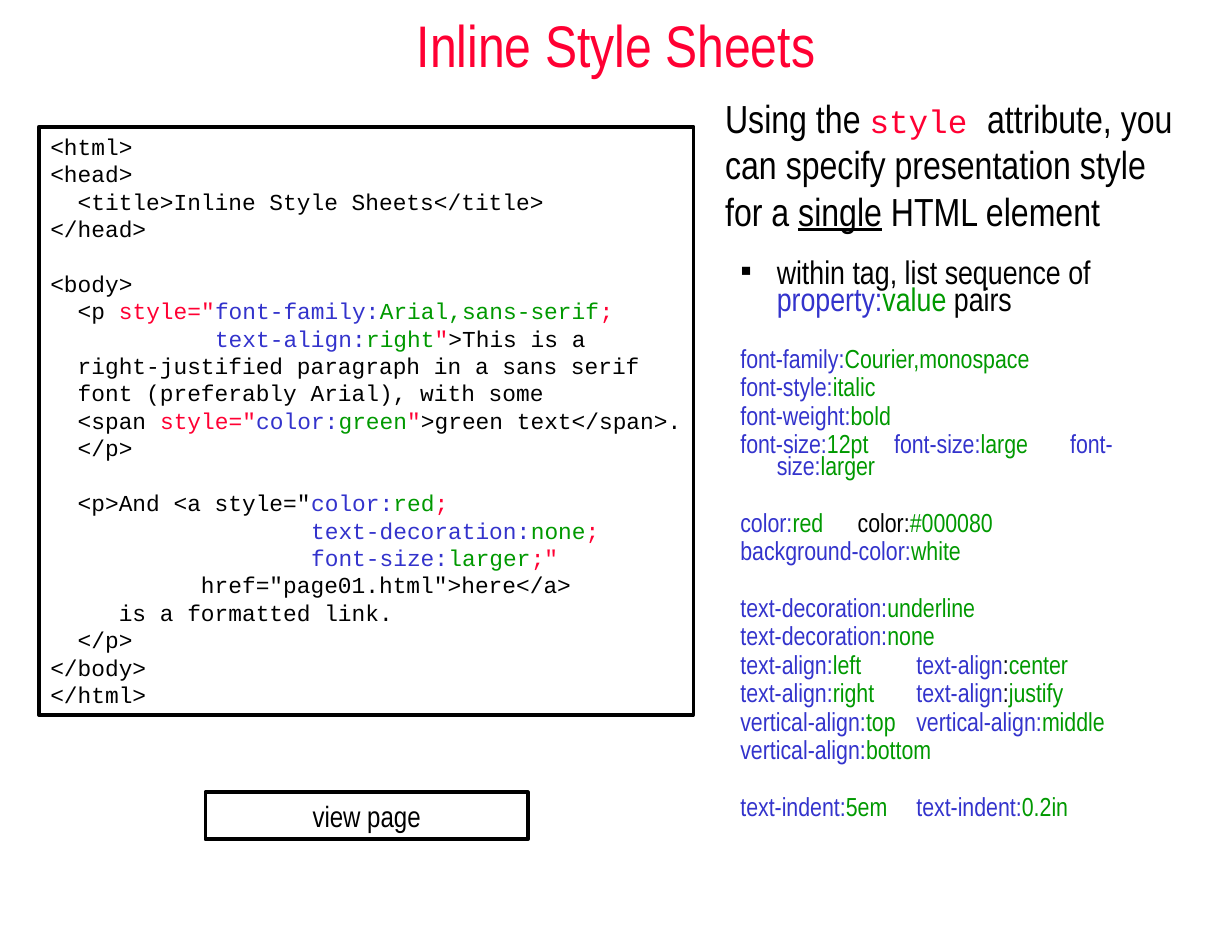
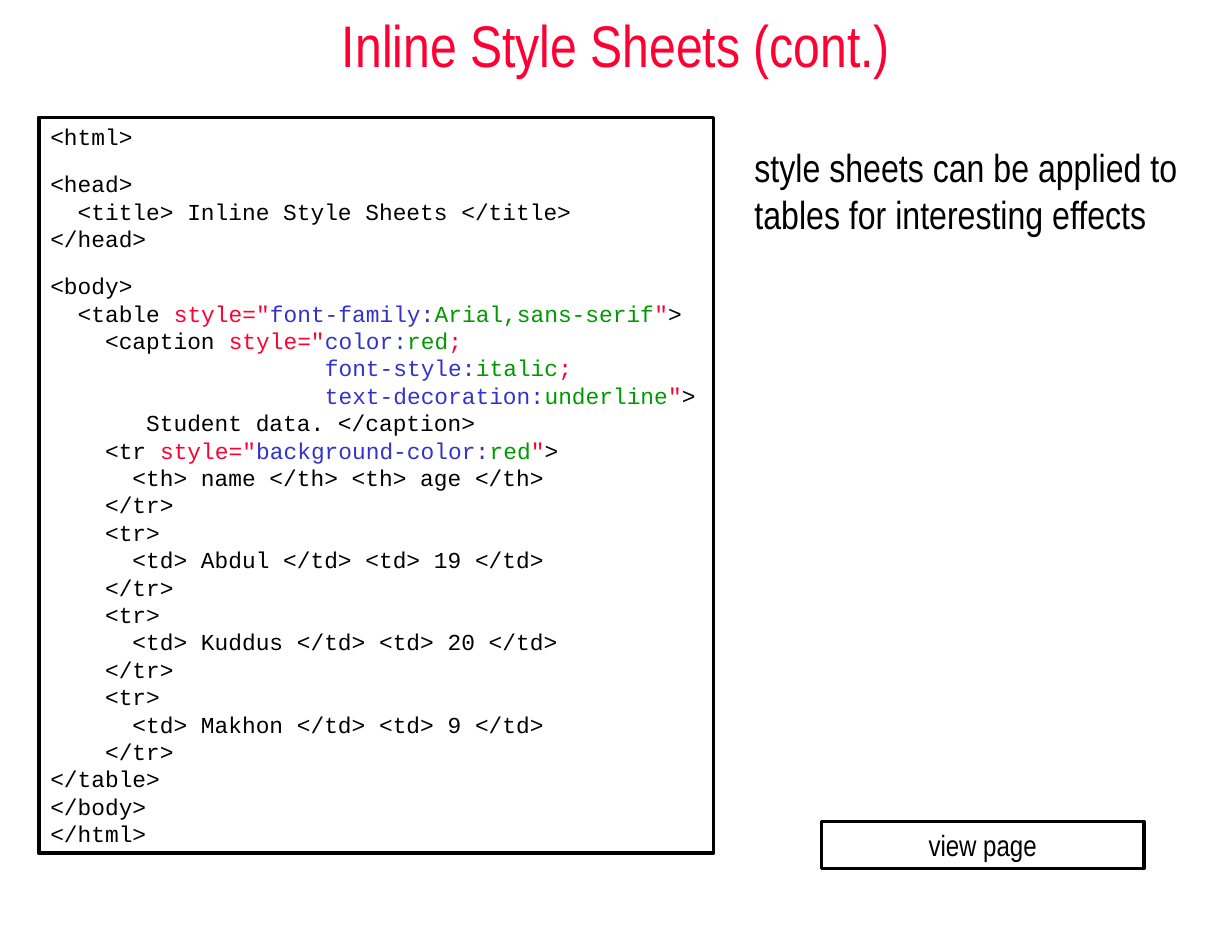
from pptx import Presentation
from pptx import util as u
from pptx.dml.color import RGBColor
from pptx.enum import shapes, text
from pptx.oxml import ns
from lxml import etree

RED = RGBColor(0xFF, 0x00, 0x33)
BLUE = RGBColor(0x33, 0x33, 0xCC)
GREEN = RGBColor(0x00, 0x99, 0x00)
BLACK = RGBColor(0x00, 0x00, 0x00)
MARKS = {"~": RED, "^": BLUE, "`": GREEN, "|": BLACK}
SANS = "Arial Narrow"
MONO = "Courier New"

INLINE = """<html>
<head>
  <title>Inline Style Sheets</title>
</head>

<body>
  <p ~style="^font-family:`Arial,sans-serif~;
            ^text-align:`right~"|>This is a
  right-justified paragraph in a sans serif
  font (preferably Arial), with some
  <span ~style="^color:`green~"|>green text</span>.
  </p>

  <p>And <a style="^color:`red~;
                   ^text-decoration:`none~;
                   ^font-size:`larger~;"
           href="page01.html">here</a>
     is a formatted link.
  </p>
</body>
</html>"""

TABLE = """<html>

<head>
  <title> Inline Style Sheets </title>
</head>

<body>
  <table ~style="^font-family:`Arial,sans-serif~"|>
    <caption ~style="^color:`red~;
                    ^font-style:`italic~;
                    ^text-decoration:`underline~"|>
       Student data. </caption>
    <tr ~style="^background-color:`red~"|>
      <th> name </th> <th> age </th>
    </tr>
    <tr>
      <td> Abdul </td> <td> 19 </td>
    </tr>
    <tr>
      <td> Kuddus </td> <td> 20 </td>
    </tr>
    <tr>
      <td> Makhon </td> <td> 9 </td>
    </tr>
</table>
</body>
</html>"""

PROPS = [
    ("^font-family:`Courier,monospace", 20.7, []),
    ("^font-style:`italic", 4, []),
    ("^font-weight:`bold", 4, []),
    ("^font-size:`12pt\t^font-size:`large\t^font-size:`larger", 4, [1.42, 2.77]),
    ("^color:`red\t|color:`#000080", 21.3, [1.04]),
    ("^background-color:`white", 4, []),
    ("^text-decoration:`underline", 21.3, []),
    ("^text-decoration:`none", 4, []),
    ("^text-align:`left\t^text-align|:`center", 4, [1.62]),
    ("^text-align:`right\t^text-align|:`justify", 4, [1.63]),
    ("^vertical-align:`top\t^vertical-align:`middle", 4, [1.66]),
    ("^vertical-align:`bottom", 4, []),
    ("^text-indent:`5em\t^text-indent:`0.2in", 21.3, [1.59]),
]


def place(shape, left, top, width, height):
    shape.left, shape.top = u.Inches(left), u.Inches(top)
    shape.width, shape.height = u.Inches(width), u.Inches(height)


def fit(frame, anchor):
    frame.word_wrap = True
    frame.auto_size = text.MSO_AUTO_SIZE.NONE
    frame.vertical_anchor = anchor
    frame.margin_left = frame.margin_right = u.Inches(0.1)
    frame.margin_top = frame.margin_bottom = u.Inches(0.05)


def style(run, face, size, color):
    run.font.name = face
    run.font.size = u.Pt(size)
    run.font.color.rgb = color


def fill(para, line, face, size, gap=0):
    para.space_before = u.Pt(gap)
    para.space_after = u.Pt(0)
    for mark in MARKS:
        line = line.replace(mark, "\n" + mark)
    for part in filter(None, line.split("\n")):
        run = para.add_run()
        run.text = part[1:] if part[0] in MARKS else part
        style(run, face, size, MARKS.get(part[0], BLACK))


def next_para(frame):
    first = frame.paragraphs[0]
    return frame.add_paragraph() if first.runs else first


def tag(parent, name, **attrs):
    return etree.SubElement(parent, ns.qn("a:" + name), attrs)


def indent(para, left, first, bullet=None, stops=()):
    props = para._p.get_or_add_pPr()
    props.set("marL", str(u.Inches(left)))
    props.set("indent", str(u.Inches(first)))
    if bullet:
        tag(tag(props, "buClr"), "srgbClr", val=str(BLACK))
        tag(props, "buFont", typeface="Arial")
        tag(props, "buChar", char=bullet)
    else:
        tag(props, "buNone")
    if stops:
        tabs = tag(props, "tabLst")
        for stop in stops:
            tag(tabs, "tab", pos=str(u.Inches(stop)), algn="l")


def add_slide(deck, title):
    slide = deck.slides.add_slide(deck.slide_layouts[1])
    head = slide.shapes.title
    place(head, 0, 0, 10.5, 0.75)
    fit(head.text_frame, text.MSO_ANCHOR.MIDDLE)
    para = head.text_frame.paragraphs[0]
    fill(para, "~" + title, SANS, 36)
    para.alignment = text.PP_ALIGN.CENTER
    return slide


def add_lead(slide, area, line):
    body = slide.placeholders[1]
    place(body, *area)
    frame = body.text_frame
    fit(frame, text.MSO_ANCHOR.TOP)
    para = frame.paragraphs[0]
    fill(para, line, SANS, 24)
    indent(para, 0, 0)
    return frame


def add_props(frame):
    para = frame.add_paragraph()
    para.level = 1
    para.line_spacing = 0.7
    fill(para, "within tag, list sequence of ^property:`value| pairs", SANS, 20, 17)
    indent(para, 0.44, -0.31, bullet="\u25aa")
    for line, gap, stops in PROPS:
        para = frame.add_paragraph()
        para.level = 1
        para.line_spacing = 0.7
        fill(para, line, SANS, 16, gap)
        hang = 0.31 if len(stops) > 1 else 0
        indent(para, 0.13 + hang, -hang, stops=stops)


def add_box(slide, area):
    box = slide.shapes.add_shape(shapes.MSO_SHAPE.RECTANGLE, 0, 0, 0, 0)
    place(box, *area)
    box.shadow.inherit = False
    box.fill.background()
    box.line.color.rgb = BLACK
    box.line.width = u.Pt(2.24)
    fit(box.text_frame, text.MSO_ANCHOR.TOP)
    return box.text_frame


def add_code(slide, area, code, blank):
    frame = add_box(slide, area)
    gap = 0
    for line in code.split("\n"):
        if not line:
            gap = blank
            continue
        para = next_para(frame)
        fill(para, line, MONO, 14, gap)
        para.alignment = text.PP_ALIGN.LEFT
        gap = 0


def add_button(slide, left, top):
    para = add_box(slide, (left, top, 2.75, 0.4)).paragraphs[0]
    fill(para, "view page", SANS, 18)
    para.alignment = text.PP_ALIGN.CENTER


def main():
    deck = Presentation()
    deck.slide_width, deck.slide_height = u.Inches(10.5), u.Inches(8)

    slide = add_slide(deck, "Inline Style Sheets")
    frame = add_lead(
        slide, (6.08, 0.75, 4.17, 6.75),
        "Using the ~style |attribute, you can specify presentation style"
        " for a |single| HTML element")
    runs = frame.paragraphs[0].runs
    style(runs[1], MONO, 20, RED)
    runs[3].font.underline = True
    add_props(frame)
    add_code(slide, (0.33, 1.08, 5.58, 5.01), INLINE, 16.8)
    add_button(slide, 1.75, 6.75)

    slide = add_slide(deck, "Inline Style Sheets (cont.)")
    add_lead(slide, (6.33, 1.17, 3.93, 6.08),
             "style sheets can be applied to tables for interesting effects")
    add_code(slide, (0.33, 1, 5.75, 6.27), TABLE, 12)
    add_button(slide, 7, 7)

    deck.save("out.pptx")


main()
